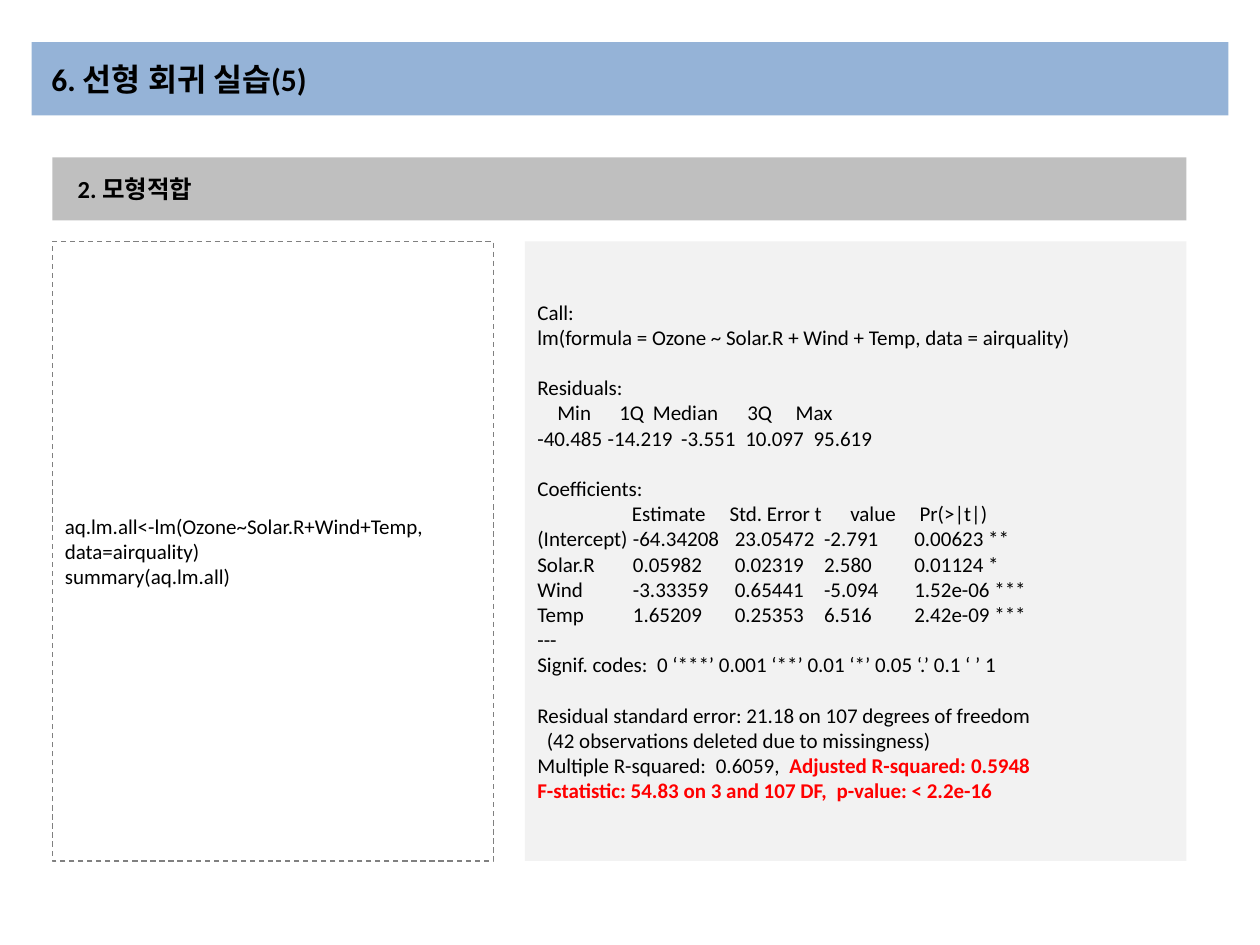
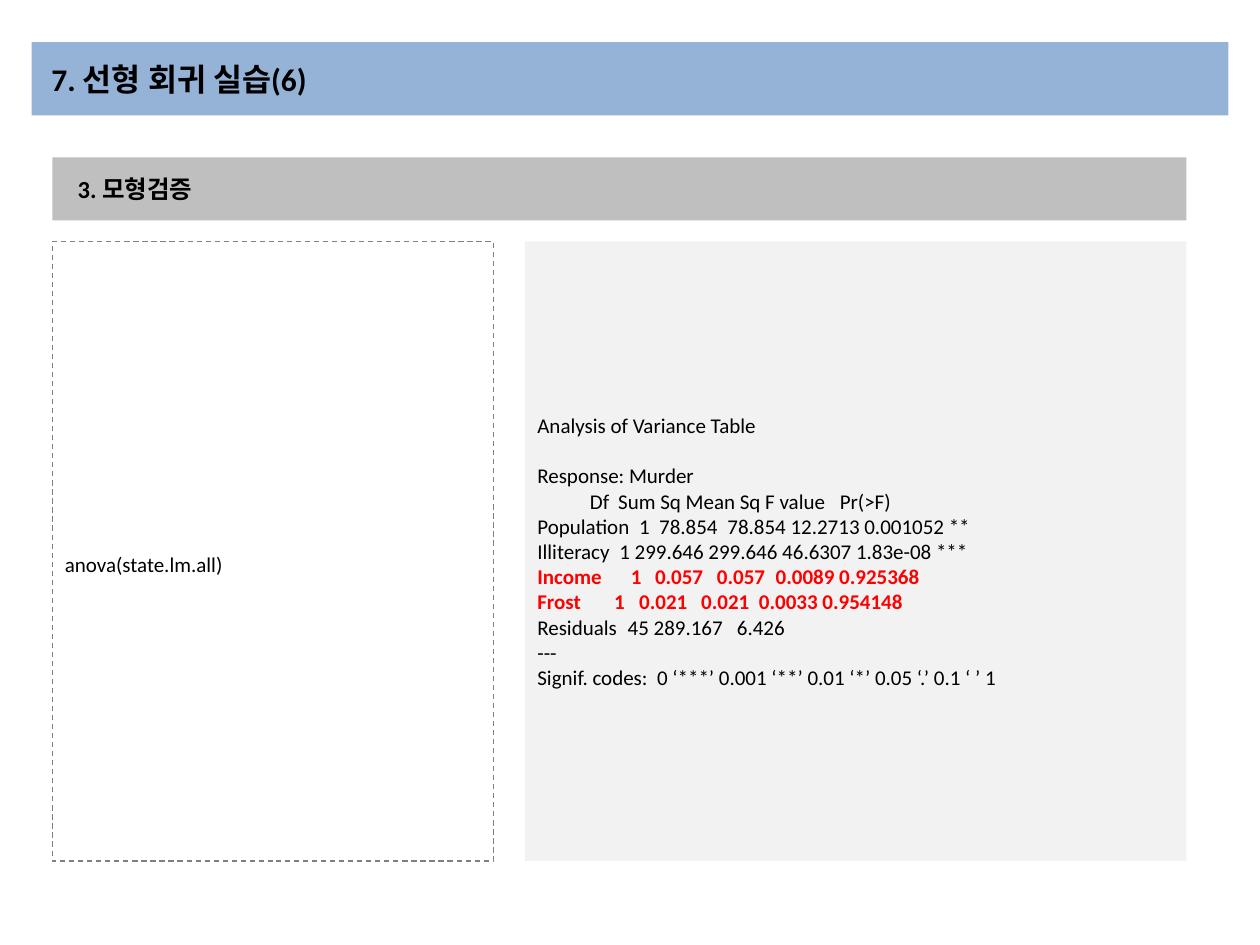
from dataclasses import dataclass

from lxml import etree
from pptx import Presentation
from pptx.dml.color import RGBColor
from pptx.enum.dml import MSO_LINE
from pptx.enum.shapes import MSO_SHAPE
from pptx.enum.text import MSO_ANCHOR, MSO_AUTO_SIZE, PP_ALIGN
from pptx.oxml.ns import qn
from pptx.util import Pt

RECTANGLE = MSO_SHAPE.RECTANGLE
DASH = MSO_LINE.DASH
MIDDLE = MSO_ANCHOR.MIDDLE
NO_AUTOFIT = MSO_AUTO_SIZE.NONE
LEFT = PP_ALIGN.LEFT

EMU_PER_PX = 7620
TITLE_ONLY = 5
FONT = "Calibri"
COLORS = {
    "title_band": "95B3D7",
    "heading_band": "BFBFBF",
    "output_panel": "F2F2F2",
    "code_border": "808080",
    "text": "000000",
    "highlight": "FF0000",
}

TITLE_BOX = (30, 40, 1140, 70)
HEADING_BOX = (50, 150, 1080, 60)
CODE_BOX = (50, 230, 420, 590)
OUTPUT_BOX = (500, 230, 630, 590)
INSETS = (12, 6, 12, 6)
SKIPPED_LINE = 14.4


@dataclass
class Line:
    """One line of text, with tab stops in px and an optional red ending."""
    text: str = ""
    stops: tuple = ()
    gap: float = 0
    red: str = ""


COEFFICIENT_STOPS = (91, 188, 273, 359)
SIGNIF_CODES = Line("Signif. codes:\t0 ‘***’ 0.001 ‘**’ 0.01 ‘*’ 0.05 ‘.’ 0.1 ‘ ’ 1", (114,))

MODEL_CODE = [
    Line("aq.lm.all<-lm(Ozone~Solar.R+Wind+Temp, data=airquality)"),
    Line("summary(aq.lm.all)"),
]
MODEL_OUTPUT = [
    Line("Call:"),
    Line("lm(formula = Ozone ~ Solar.R + Wind + Temp, data = airquality)"),
    Line("Residuals:", gap=SKIPPED_LINE),
    Line("\tMin\t1Q\tMedian\t3Q\tMax", (19, 78, 110, 200, 246)),
    Line("-40.485\t-14.219\t-3.551\t10.097\t95.619", (67, 137, 198, 263)),
    Line("Coefficients:", gap=SKIPPED_LINE),
    Line("\tEstimate\tStd. Error t\tvalue\tPr(>|t|)", (90, 183, 298, 364)),
    Line("(Intercept)\t-64.34208\t23.05472\t-2.791\t0.00623 **", COEFFICIENT_STOPS),
    Line("Solar.R\t0.05982\t0.02319\t2.580\t0.01124 *", COEFFICIENT_STOPS),
    Line("Wind\t-3.33359\t0.65441\t-5.094\t1.52e-06 ***", COEFFICIENT_STOPS),
    Line("Temp\t1.65209\t0.25353\t6.516\t2.42e-09 ***", COEFFICIENT_STOPS),
    Line("---"),
    SIGNIF_CODES,
    Line("Residual standard error: 21.18 on 107 degrees of freedom", gap=SKIPPED_LINE),
    Line("\t(42 observations deleted due to missingness)", (9,)),
    Line("Multiple R-squared:\t0.6059,\t", (170, 240, 413), red="Adjusted R-squared:\t0.5948"),
    Line(stops=(285,), red="F-statistic: 54.83 on 3 and 107 DF,\tp-value: < 2.2e-16"),
]
ANOVA_CODE = [Line("anova(state.lm.all)")]
ANOVA_OUTPUT = [
    Line("Analysis of Variance Table"),
    Line("Response: Murder", gap=SKIPPED_LINE),
    Line("\tDf\tSum Sq Mean Sq F value\tPr(>F)", (50, 77, 288)),
    Line("Population\t1\t78.854\t78.854 12.2713 0.001052 **", (97, 116, 181)),
    Line("Illiteracy\t1 299.646 299.646 46.6307 1.83e-08 ***", (78,)),
    Line(stops=(89, 112, 171, 227), red="Income\t1\t0.057\t0.057\t0.0089 0.925368"),
    Line(stops=(73, 97, 156, 211), red="Frost\t1\t0.021\t0.021\t0.0033 0.954148"),
    Line("Residuals\t45 289.167\t6.426", (86, 190)),
    Line("---"),
    SIGNIF_CODES,
]


def px(length):
    """Turn px into EMU."""
    return length * EMU_PER_PX


def rgb(name):
    """Look up a colour of the palette."""
    return RGBColor.from_string(COLORS[name])


def paint(shape, fill=None, border=None):
    """Give a shape its fill and dashed border, or none."""
    if fill:
        shape.fill.solid()
        shape.fill.fore_color.rgb = rgb(fill)
    else:
        shape.fill.background()
    if border:
        shape.line.color.rgb = rgb(border)
        shape.line.width = Pt(0.75)
        shape.line.dash_style = DASH
    else:
        shape.line.fill.background()


def add_run(paragraph, text, size, bold, color):
    """Append formatted text to a paragraph."""
    run = paragraph.add_run()
    run.text = text
    run.font.name = FONT
    run.font.size = Pt(size)
    run.font.bold = bold
    run.font.color.rgb = rgb(color)


def add_tab_stops(paragraph, stops):
    """Set left tab stops on a paragraph."""
    tab_list = etree.SubElement(paragraph._p.get_or_add_pPr(), qn("a:tabLst"))
    for stop in stops:
        etree.SubElement(tab_list, qn("a:tab"), pos=str(px(stop)), algn="l")


def write(shape, lines, size=12, bold=False, insets=INSETS):
    """Fill a shape with left-aligned, vertically centred lines."""
    frame = shape.text_frame
    frame.word_wrap = True
    frame.auto_size = NO_AUTOFIT
    frame.vertical_anchor = MIDDLE
    frame.margin_left, frame.margin_top, frame.margin_right, frame.margin_bottom = map(px, insets)
    for index, line in enumerate(lines):
        paragraph = frame.add_paragraph() if index else frame.paragraphs[0]
        paragraph.alignment = LEFT
        if line.gap:
            paragraph.space_before = Pt(line.gap)
        if line.stops:
            add_tab_stops(paragraph, line.stops)
        if line.text:
            add_run(paragraph, line.text, size, bold, "text")
        if line.red:
            add_run(paragraph, line.red, size, True, "highlight")


def add_title(slide, text, box):
    """Place the slide title as a coloured band."""
    title = slide.shapes.title
    title.left, title.top, title.width, title.height = map(px, box)
    paint(title, fill="title_band")
    write(title, [Line(text)], size=18, bold=True, insets=(19, 6, 12, 6))


def add_panel(slide, lines, box, fill=None, border=None, **text_format):
    """Add a rectangle that holds lines of text."""
    panel = slide.shapes.add_shape(RECTANGLE, *map(px, box))
    panel.shadow.inherit = False
    paint(panel, fill, border)
    write(panel, lines, **text_format)


def add_practice_slide(deck, title, heading, code, output, code_insets=INSETS):
    """Add a slide with R code on the left and its output on the right."""
    slide = deck.slides.add_slide(deck.slide_layouts[TITLE_ONLY])
    add_title(slide, title, TITLE_BOX)
    add_panel(slide, code, CODE_BOX, border="code_border", insets=code_insets)
    add_panel(slide, output, OUTPUT_BOX, fill="output_panel")
    add_panel(slide, [Line(heading)], HEADING_BOX, fill="heading_band",
              size=14, bold=True, insets=(24, 6, 12, 6))


def main():
    """Build and save the deck."""
    deck = Presentation()
    deck.slide_width, deck.slide_height = px(1200), px(900)
    add_practice_slide(deck, "6. 선형 회귀 실습(5)", "2. 모형적합", MODEL_CODE, MODEL_OUTPUT)
    add_practice_slide(deck, "7. 선형 회귀 실습(6)", "3. 모형검증", ANOVA_CODE, ANOVA_OUTPUT,
                       code_insets=(12, 30, 12, 6))
    deck.save("out.pptx")


if __name__ == "__main__":
    main()
